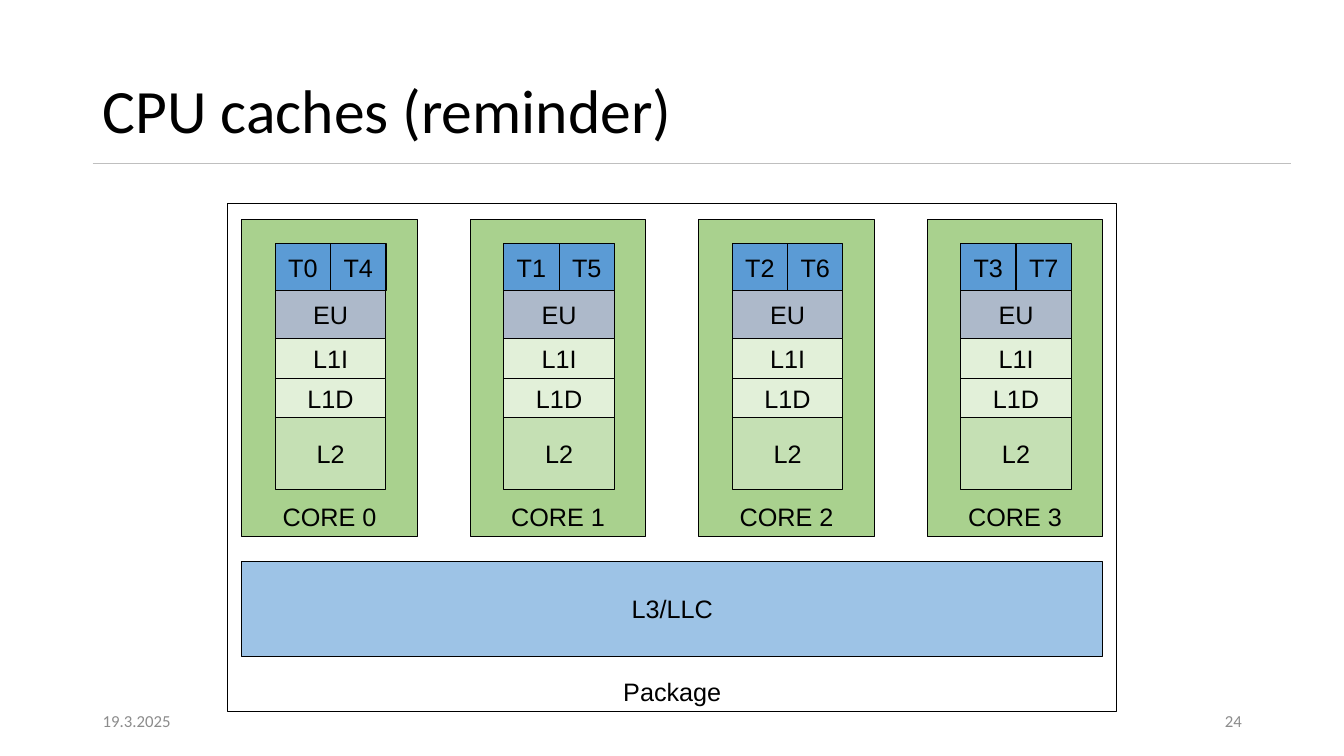
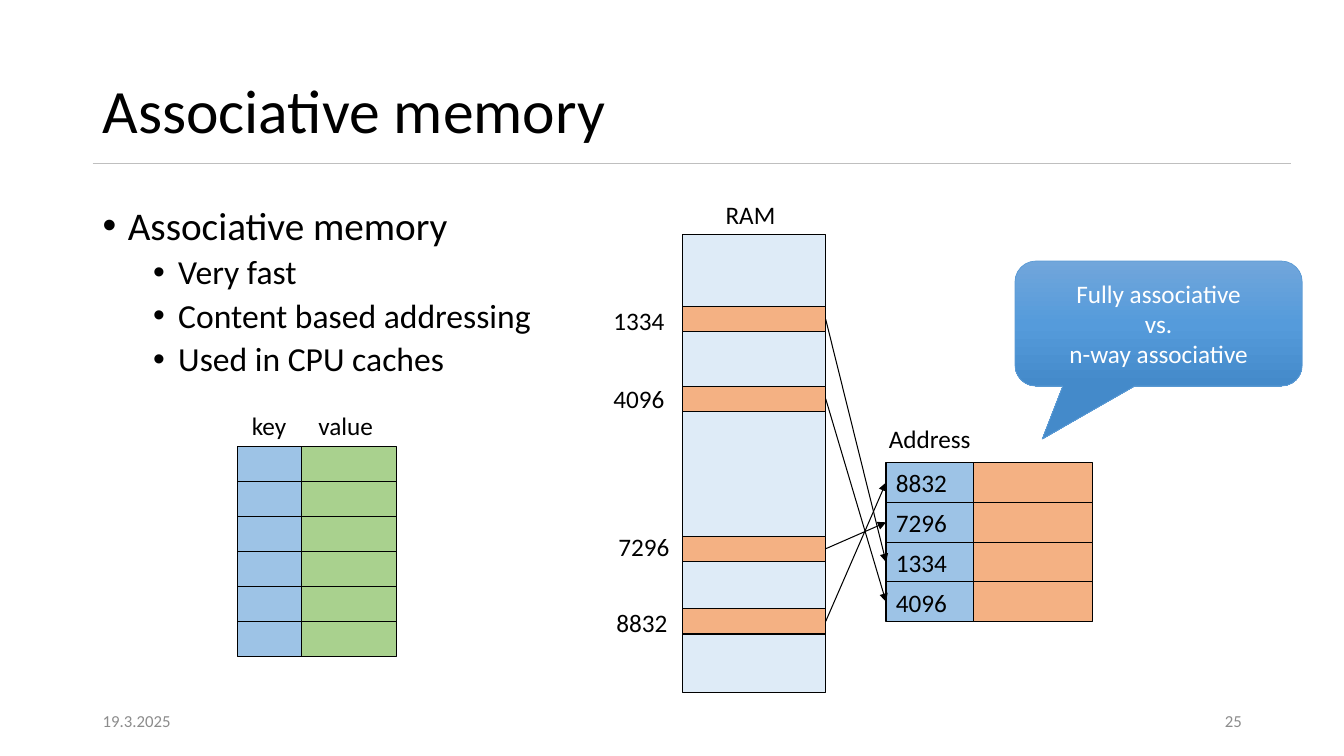
"""Build two slides on CPU caches and associative memory."""
from copy import deepcopy

from lxml import etree
from pptx import Presentation
from pptx.dml.color import RGBColor
from pptx.enum.shapes import MSO_CONNECTOR, MSO_SHAPE
from pptx.enum.text import MSO_ANCHOR, PP_ALIGN
from pptx.oxml.ns import qn
from pptx.util import Pt

RECTANGLE = MSO_SHAPE.RECTANGLE
CALLOUT = MSO_SHAPE.ROUNDED_RECTANGULAR_CALLOUT
STRAIGHT = MSO_CONNECTOR.STRAIGHT
TOP, MIDDLE, BOTTOM = MSO_ANCHOR.TOP, MSO_ANCHOR.MIDDLE, MSO_ANCHOR.BOTTOM
LEFT, CENTER, RIGHT = PP_ALIGN.LEFT, PP_ALIGN.CENTER, PP_ALIGN.RIGHT

BLACK, WHITE, GREY, RULE = "000000", "FFFFFF", "8C8C8C", "BFBFBF"
GREEN, PALE_GREEN, LIGHT_GREEN = "A9D18E", "C5E0B4", "E2F0D9"
BLUE, LIGHT_BLUE, PALE_BLUE, SLATE = "5B9BD5", "9DC3E6", "DEEBF7", "ADB9CA"
ORANGE = "F4B183"
HEAD_FONT, DIAGRAM_FONT = "Calibri", "Arial"

MARGIN = 66.24
DATE = "19.3.2025"

CORES = [("T0", "T4"), ("T1", "T5"), ("T2", "T6"), ("T3", "T7")]
CORE_LAYERS = [
    ("EU", SLATE, 34.1),
    ("L1I", LIGHT_GREEN, 28.3),
    ("L1D", LIGHT_GREEN, 28.3),
    ("L2", PALE_GREEN, 51.1),
]

BULLETS = [
    (0, "Associative memory"),
    (1, "Very fast"),
    (1, "Content based addressing"),
    (1, "Used in CPU caches"),
]
BULLET_LEVELS = [(18, 28, 10), (54, 24, 5)]
HEADINGS = [
    ("key", 172.8, 289.4, 39.6),
    ("value", 220.3, 289.4, 54),
    ("RAM", 511.2, 139, 50.4),
    ("Address", 627.8, 298.8, 73.4),
]
RAM_BLOCKS = [
    ("1334", 219, 430.6, 214.6),
    ("4096", 275.8, 430.6, 270),
    ("7296", 383, 434.2, 375.8),
    ("8832", 434.9, 432.7, 430.6),
]
CACHE_ADDRESSES = ["8832", "7296", "1334", "4096"]
CALLOUT_LINES = ["Fully associative", "vs.", "n-way associative"]
CALLOUT_SHAPE = [-0.405, 0.924, 0.167]
CALLOUT_GRADIENT = [(0, "71A6DB"), (0.5, "559BDB"), (1, "448ACA")]


def color(value):
    return RGBColor.from_string(value)


def add_span(para, text, size, font, ink):
    span = para.add_run()
    span.text = text
    span.font.size = Pt(size)
    span.font.name = font
    span.font.color.rgb = color(ink)


def write(shape, lines, size=18, font=HEAD_FONT, ink=BLACK, align=LEFT,
          anchor=TOP, wrap=False, spacing=None):
    frame = shape.text_frame
    frame.word_wrap = wrap
    frame.vertical_anchor = anchor
    for index, line in enumerate(lines):
        para = frame.add_paragraph() if index else frame.paragraphs[0]
        para.alignment = align
        if spacing:
            para.line_spacing = spacing
        add_span(para, line, size, font, ink)


def add_text(page, text, left, top, width, height=28.8, **style):
    box = page.shapes.add_textbox(Pt(left), Pt(top), Pt(width), Pt(height))
    write(box, [text], **style)


def add_box(page, left, top, width, height, fill=None, kind=RECTANGLE):
    box = page.shapes.add_shape(kind, Pt(left), Pt(top), Pt(width), Pt(height))
    box.shadow.inherit = False
    if fill:
        box.fill.solid()
        box.fill.fore_color.rgb = color(fill)
    else:
        box.fill.background()
    box.line.color.rgb = color(BLACK)
    box.line.width = Pt(0.75)
    return box


def add_diagram_box(page, label, area, fill=None, anchor=MIDDLE):
    box = add_box(page, *area, fill)
    write(box, [label], font=DIAGRAM_FONT, align=CENTER, anchor=anchor)


def add_line(page, start, end, ink, width):
    line = page.shapes.add_connector(STRAIGHT, *map(Pt, start + end))
    line.line.color.rgb = color(ink)
    line.line.width = Pt(width)
    etree.SubElement(line._element.spPr, qn("a:effectLst"))
    return line


def add_arrow(page, source, target):
    arrow = add_line(page, (0, 0), (0, 0), BLACK, 0.75)
    arrow.begin_connect(source, 3)
    arrow.end_connect(target, 1)
    outline = arrow.line._get_or_add_ln()
    etree.SubElement(outline, qn("a:tailEnd"), type="triangle")


def add_page(deck, title, number):
    page = deck.slides.add_slide(deck.slide_layouts[6])
    add_line(page, (MARGIN, 116.6), (922.3, 116.6), RULE, 1)
    add_text(page, title, MARGIN, 28.8, 765.4, 104.4, size=44,
             anchor=MIDDLE, wrap=True, spacing=0.9)
    footer = {"size": 12, "ink": GREY, "anchor": MIDDLE, "wrap": True}
    add_text(page, DATE, MARGIN, 500.4, 216, **footer)
    add_text(page, str(number), 678.24, 500.4, 216, align=RIGHT, **footer)
    return page


def add_core(page, index, threads):
    left, top = 172.8 + index * 163.2, 156.6
    add_diagram_box(page, f"CORE {index}", (left, top, 125.3, 226.8),
                    GREEN, BOTTOM)
    width, thread_height = 79.2, 34.1
    left += 23.76
    top += 17
    thread_width = width / len(threads)
    for column, thread in enumerate(threads):
        area = (left + column * thread_width, top, thread_width, thread_height)
        add_diagram_box(page, thread, area, BLUE)
    top += thread_height
    for label, fill, height in CORE_LAYERS:
        add_diagram_box(page, label, (left, top, width, height), fill)
        top += height


def add_bullets(page):
    box = page.shapes.add_textbox(Pt(MARGIN), Pt(144), Pt(828), Pt(342.7))
    frame = box.text_frame
    frame.word_wrap = True
    for index, (level, text) in enumerate(BULLETS):
        indent, size, before = BULLET_LEVELS[level]
        para = frame.add_paragraph() if index else frame.paragraphs[0]
        props = para._p.get_or_add_pPr()
        props.set("marL", str(Pt(indent)))
        props.set("indent", str(Pt(-18)))
        etree.SubElement(props, qn("a:buFont"), typeface="Arial")
        etree.SubElement(props, qn("a:buChar"), char="•")
        para.level = level
        para.line_spacing = 0.9
        if index:
            para.space_before = Pt(before)
        add_span(para, text, size, HEAD_FONT, BLACK)


def add_key_value_grid(page):
    for row in range(6):
        top = 318.8 + row * 25
        add_box(page, 169.9, top, 45.6, 25, LIGHT_BLUE)
        add_box(page, 215.5, top, 67.7, 25, GREEN)


def add_memory(page):
    add_box(page, 487.4, 167.8, 102.4, 326.9, PALE_BLUE)
    blocks = {}
    for address, top, label_left, label_top in RAM_BLOCKS:
        blocks[address] = add_box(page, 487.4, top, 102.4, 18, ORANGE)
        add_text(page, address, label_left, label_top, 51.1, align=RIGHT)
    height = 28.4
    for row, address in enumerate(CACHE_ADDRESSES):
        top = 330.5 + row * height
        key = add_box(page, 632.9, top, 62.6, height, LIGHT_BLUE)
        write(key, [address])
        add_box(page, 695.5, top, 85, height, ORANGE)
        add_arrow(page, blocks[address], key)


def add_callout(page):
    bubble = add_box(page, 725, 186.5, 205.2, 89.3, kind=CALLOUT)
    for index, value in enumerate(CALLOUT_SHAPE):
        bubble.adjustments[index] = value
    bubble.line.color.rgb = color(BLUE)
    bubble.line.width = Pt(0.5)
    bubble.fill.gradient()
    bubble.fill.gradient_angle = 270
    stops = bubble._element.spPr.find(".//" + qn("a:gsLst"))
    stops.insert(1, deepcopy(stops[0]))
    for stop, (position, value) in zip(bubble.fill.gradient_stops,
                                       CALLOUT_GRADIENT):
        stop.position = position
        stop.color.rgb = color(value)
    write(bubble, CALLOUT_LINES, ink=WHITE, align=CENTER, anchor=MIDDLE,
          wrap=True)


def build_caches(deck):
    page = add_page(deck, "CPU caches (reminder)", 24)
    add_diagram_box(page, "Package", (162.7, 145.4, 635, 362.9),
                    anchor=BOTTOM)
    for index, threads in enumerate(CORES):
        add_core(page, index, threads)
    add_diagram_box(page, "L3/LLC", (172.8, 401, 614.9, 67.7), LIGHT_BLUE)


def build_associative(deck):
    page = add_page(deck, "Associative memory", 25)
    add_bullets(page)
    add_key_value_grid(page)
    add_memory(page)
    for text, left, top, width in HEADINGS:
        add_text(page, text, left, top, width)
    add_callout(page)


def main():
    deck = Presentation()
    deck.slide_width, deck.slide_height = Pt(960), Pt(540)
    build_caches(deck)
    build_associative(deck)
    deck.save("out.pptx")


if __name__ == "__main__":
    main()
